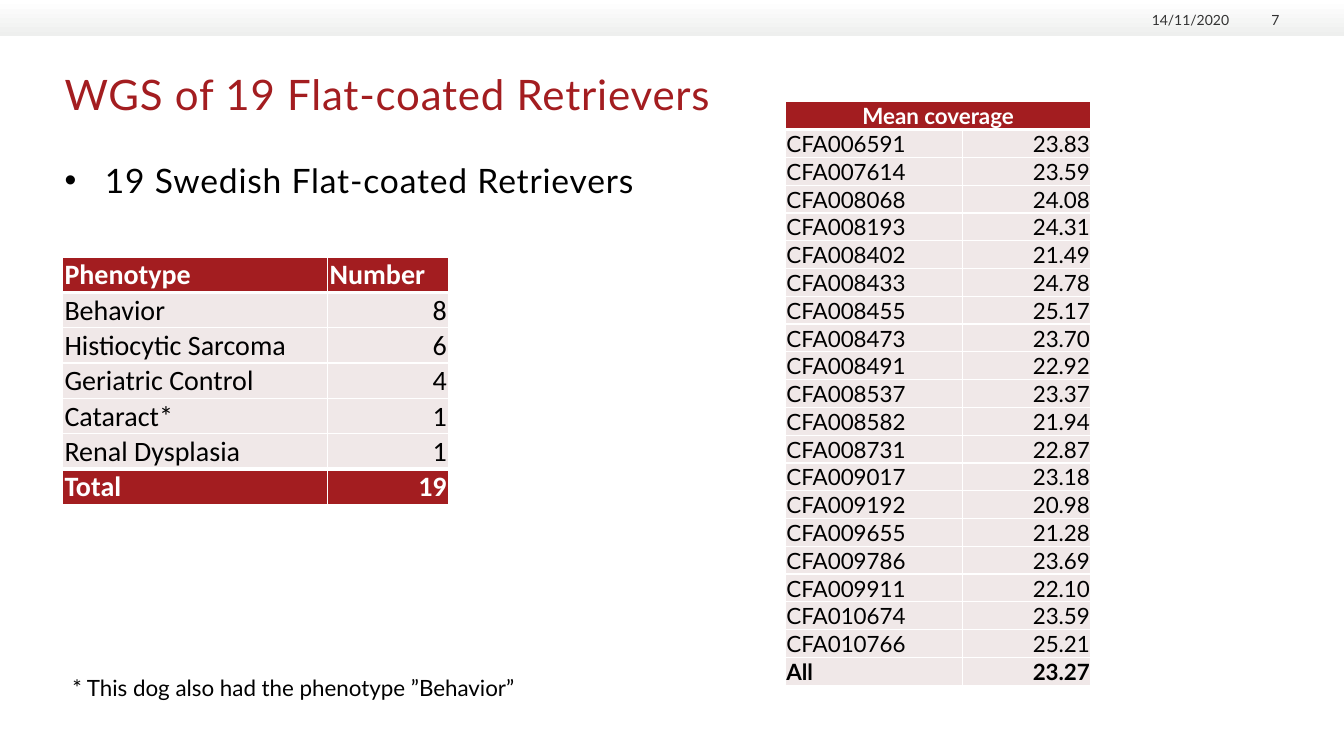
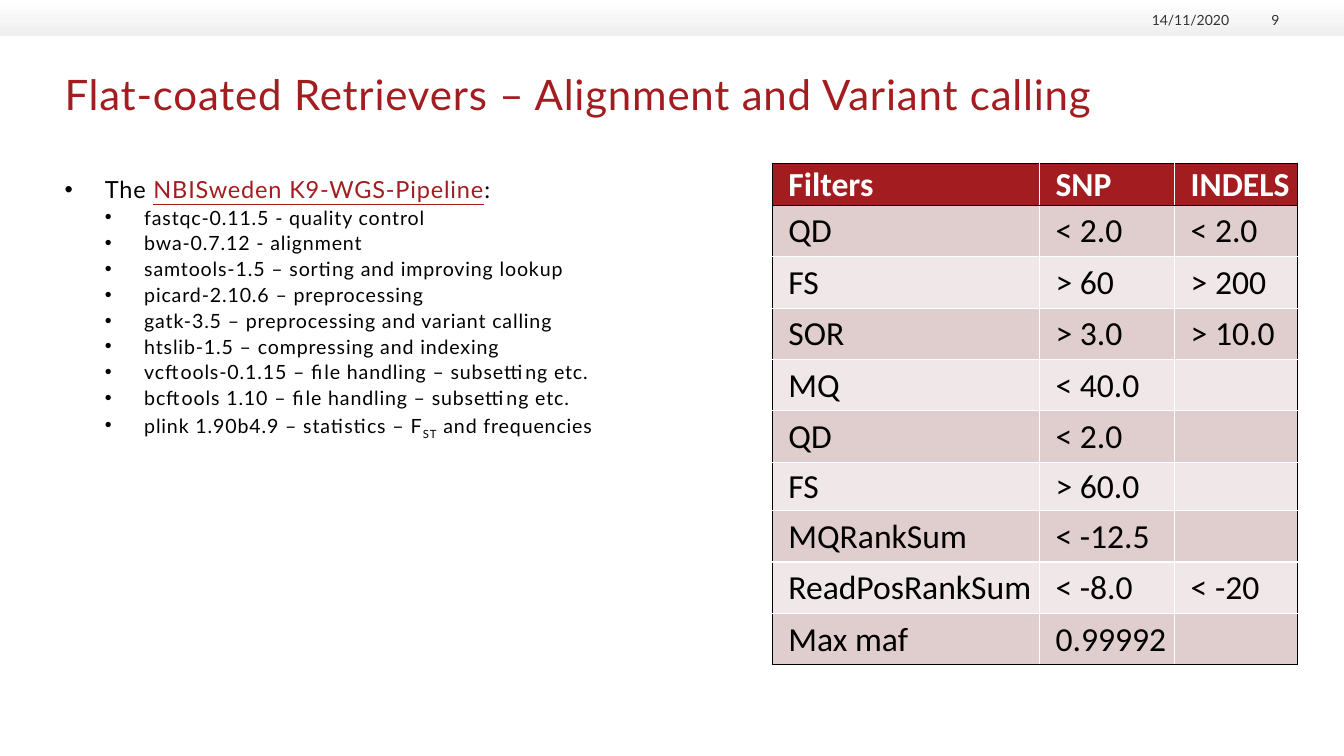
from pptx import Presentation
from pptx.dml.color import RGBColor
from pptx.enum import shapes, text
from pptx.oxml.ns import qn
from pptx.oxml.xmlchemy import OxmlElement
from pptx.util import Inches, Pt

RED = RGBColor(0xA3, 0x1D, 0x20)
PALE = RGBColor(0xF0, 0xE8, 0xE8)
ROSE = RGBColor(0xE0, 0xCD, 0xCD)
SILVER = RGBColor(0xEE, 0xEF, 0xEE)
GREY = RGBColor(0x33, 0x33, 0x33)
WHITE = RGBColor(0xFF, 0xFF, 0xFF)
BLACK = RGBColor(0, 0, 0)

DATE = "14/11/2020"
PHENO = [
    ("Phenotype", "Number"),
    ("Behavior", "8"),
    ("Histiocytic Sarcoma", "6"),
    ("Geriatric Control", "4"),
    ("Cataract*", "1"),
    ("Renal Dysplasia", "1"),
    ("Total", "19"),
]
COVER = [
    ("Mean coverage", ""),
    ("CFA006591", "23.83"),
    ("CFA007614", "23.59"),
    ("CFA008068", "24.08"),
    ("CFA008193", "24.31"),
    ("CFA008402", "21.49"),
    ("CFA008433", "24.78"),
    ("CFA008455", "25.17"),
    ("CFA008473", "23.70"),
    ("CFA008491", "22.92"),
    ("CFA008537", "23.37"),
    ("CFA008582", "21.94"),
    ("CFA008731", "22.87"),
    ("CFA009017", "23.18"),
    ("CFA009192", "20.98"),
    ("CFA009655", "21.28"),
    ("CFA009786", "23.69"),
    ("CFA009911", "22.10"),
    ("CFA010674", "23.59"),
    ("CFA010766", "25.21"),
    ("All", "23.27"),
]
FILTERS = [
    ("Filters", "SNP", "INDELS"),
    ("QD", "< 2.0", "< 2.0"),
    ("FS", "> 60", "> 200"),
    ("SOR", "> 3.0", "> 10.0"),
    ("MQ", "< 40.0", ""),
    ("QD", "< 2.0", ""),
    ("FS", "> 60.0", ""),
    ("MQRankSum", "< -12.5", ""),
    ("ReadPosRankSum", "< -8.0", "< -20"),
    ("Max maf", "0.99992", ""),
]
BREED = [(0, [("19 Swedish Flat-coated Retrievers", "")])]
TOOLS = [
    "fastqc-0.11.5 - quality control",
    "bwa-0.7.12 - alignment",
    "samtools-1.5 – sorting and improving lookup",
    "picard-2.10.6 – preprocessing",
    "gatk-3.5 – preprocessing and variant calling",
    "htslib-1.5 – compressing and indexing",
    "vcftools-0.1.15 – file handling – subsetting etc.",
    "bcftools 1.10 – file handling – subsetting etc.",
]
STEPS = [
    (0, [("The ", ""), ("NBISweden K9-WGS-Pipeline", "link"), (":", "")]),
    *[(1, [(tool, "")]) for tool in TOOLS],
    (1, [("plink 1.90b4.9 – statistics – F", ""), ("ST", "sub"),
         (" and frequencies", "")]),
]
NOTE = "* This dog also had the phenotype ”Behavior”"
HAIR, HEAVY, DARK = (WHITE, 1), (WHITE, 3), (BLACK, 1)
LEFT, RIGHT, MID = (text.PP_ALIGN.LEFT, text.PP_ALIGN.RIGHT,
                    text.PP_ALIGN.CENTER)
LOW, CORE = text.MSO_ANCHOR.BOTTOM, text.MSO_ANCHOR.MIDDLE


def place(shape, *box):
    shape.left, shape.top, shape.width, shape.height = map(Inches, box)


def style(para, size, color, face="Lato", bold=False, align=LEFT, track=0):
    para.alignment = align
    font = para.font
    font.size, font.name, font.bold = Pt(size), face, bold
    font.color.rgb = color
    if track:
        para._p.pPr.find(qn("a:defRPr")).set("spc", str(track))


def flush(frame, anchor):
    frame.margin_left = frame.margin_right = 0
    frame.margin_top = frame.margin_bottom = 0
    frame.vertical_anchor = anchor
    frame.word_wrap = True
    frame.auto_size = text.MSO_AUTO_SIZE.NONE


def label(slide, words, box, size, color, align=LEFT):
    frame = slide.shapes.add_textbox(*map(Inches, box)).text_frame
    frame.word_wrap = True
    frame.text = words
    style(frame.paragraphs[0], size, color, align=align)
    return frame


def bullets(frame, items, sizes, gap):
    flush(frame, text.MSO_ANCHOR.TOP)
    for n, (level, runs) in enumerate(items):
        para = frame.add_paragraph() if n else frame.paragraphs[0]
        para.level = level
        props = para._p.get_or_add_pPr()
        props.set("marL", str(Inches((0.4, 0.79)[level])))
        props.set("indent", str(-Inches((0.4, 0.39)[level])))
        mark = OxmlElement("a:buChar")
        mark.set("char", "•")
        props.append(mark)
        para.line_spacing = gap
        para.space_before = Pt((10, 5)[level] if n else 0)
        style(para, sizes[level], BLACK, track=60)
        for words, kind in runs:
            run = para.add_run()
            run.text = words
            if kind == "link":
                run.font.color.rgb = RED
                run.font.underline = True
            elif kind == "sub":
                run._r.get_or_add_rPr().set("baseline", "-25000")


def border(cell, edges):
    props = cell._tc.get_or_add_tcPr()
    for n, (side, (color, width)) in enumerate(zip("LRTB", edges)):
        line = OxmlElement(f"a:ln{side}")
        line.set("w", str(Pt(width)))
        fill = OxmlElement("a:solidFill")
        tint = OxmlElement("a:srgbClr")
        tint.set("val", str(color))
        fill.append(tint)
        line.append(fill)
        props.insert(n, line)


def grid(slide, spot, cols, high, rows, size, face, look, rules, posts, pad):
    frame = slide.shapes.add_table(
        len(rows), len(cols), *map(Inches, spot),
        Inches(sum(cols)), Inches(sum(high)))
    table = frame.table
    table.first_row = table.horz_banding = False
    for col, width in zip(table.columns, cols):
        col.width = Inches(width)
    for r, row in enumerate(rows):
        table.rows[r].height = Inches(high[r])
        for c, words in enumerate(row):
            cell = table.cell(r, c)
            fill, color, bold, align, anchor = look(r, c)
            cell.margin_left, cell.margin_right = Inches(pad[0]), Inches(pad[1])
            cell.margin_top, cell.margin_bottom = Inches(0.01), 0
            cell.vertical_anchor = anchor
            cell.fill.solid()
            cell.fill.fore_color.rgb = fill
            border(cell, (posts[c], posts[c + 1], rules[r], rules[r + 1]))
            cell.text = words
            style(cell.text_frame.paragraphs[0], size, color, face, bold, align)
    return table


def pheno(r, c):
    head = r in (0, len(PHENO) - 1)
    return (RED if head else PALE, WHITE if head else BLACK, head,
            RIGHT if c and r else LEFT, LOW)


def cover(r, c):
    if r == 0:
        return RED, WHITE, True, MID, LOW
    return PALE, BLACK, r == len(COVER) - 1, RIGHT if c else LEFT, LOW


def sift(r, c):
    if r == 0:
        return RED, WHITE, True, LEFT, LOW
    return ROSE if r % 2 else PALE, BLACK, False, LEFT, CORE


def page(deck, title, number):
    slide = deck.slides.add_slide(deck.slide_layouts[1])
    frame = slide.shapes.title.text_frame
    frame.text = title
    flush(frame, text.MSO_ANCHOR.TOP)
    style(frame.paragraphs[0], 30, RED, track=60)
    for words, left, width in ((DATE, 11.3, 0.89), (number, 12.27, 0.42)):
        box = label(slide, words, (left, 0.09, width, 0.19), 10, GREY, RIGHT)
        flush(box, LOW)
    return slide


def setup(deck):
    deck.slide_width, deck.slide_height = Inches(13.33), Inches(7.5)
    place(deck.slide_layouts[1].placeholders[0], 0.64, 0.68, 12.04, 0.95)


def banner(deck, slide):
    band = slide.shapes.add_shape(
        shapes.MSO_SHAPE.RECTANGLE, 0, 0, deck.slide_width, Inches(0.36))
    band.shadow.inherit = False
    band.line.fill.background()
    band.fill.gradient()
    band.fill.gradient_angle = 270
    for stop, color, spot in zip(band.fill.gradient_stops, (WHITE, SILVER), (0, 1)):
        stop.color.rgb = color
        stop.position = spot
    slide.slide_layout.shapes.element.insert(2, band.element)


def main():
    deck = Presentation()
    setup(deck)

    dogs = page(deck, "WGS of 19 Flat-coated Retrievers", "7")
    banner(deck, dogs)
    body = dogs.placeholders[1]
    place(body, 0.64, 1.63, 6.67, 0.39)
    bullets(body.text_frame, BREED, (24,), 0.9)
    grid(dogs, (0.62, 2.55), (2.63, 1.2), [0.35] * len(PHENO), PHENO,
         20, "Calibri", pheno, [HAIR, HEAVY, *[HAIR] * 4, HEAVY, HAIR],
         [HAIR] * 3, (0.02, 0.02))
    table = grid(dogs, (7.79, 1.01), (1.76, 1.27), [0.27] * len(COVER), COVER,
                 16, "Lato", cover, [HAIR, HEAVY, *[HAIR] * 20],
                 [HAIR] * 3, (0.01, 0.01))
    table.cell(0, 0).merge(table.cell(0, 1))
    label(dogs, NOTE, (0.62, 6.64, 4.93, 0.37), 16, BLACK)

    calls = page(
        deck, "Flat-coated Retrievers – Alignment and Variant calling", "9")
    body = calls.placeholders[1]
    place(body, 0.64, 1.79, 9.33, 5.11)
    bullets(body.text_frame, STEPS, (16.8, 14), 0.8)
    high = [0.41, *[0.51] * 5, 0.48, *[0.51] * 3]
    grid(calls, (7.66, 1.62), (2.65, 1.34, 1.22), high, FILTERS,
         24, "Calibri", sift, [DARK, DARK, *[HAIR] * 8, DARK],
         [DARK, HAIR, HAIR, DARK], (0.16, 0.01))

    deck.save("out.pptx")


if __name__ == "__main__":
    main()
